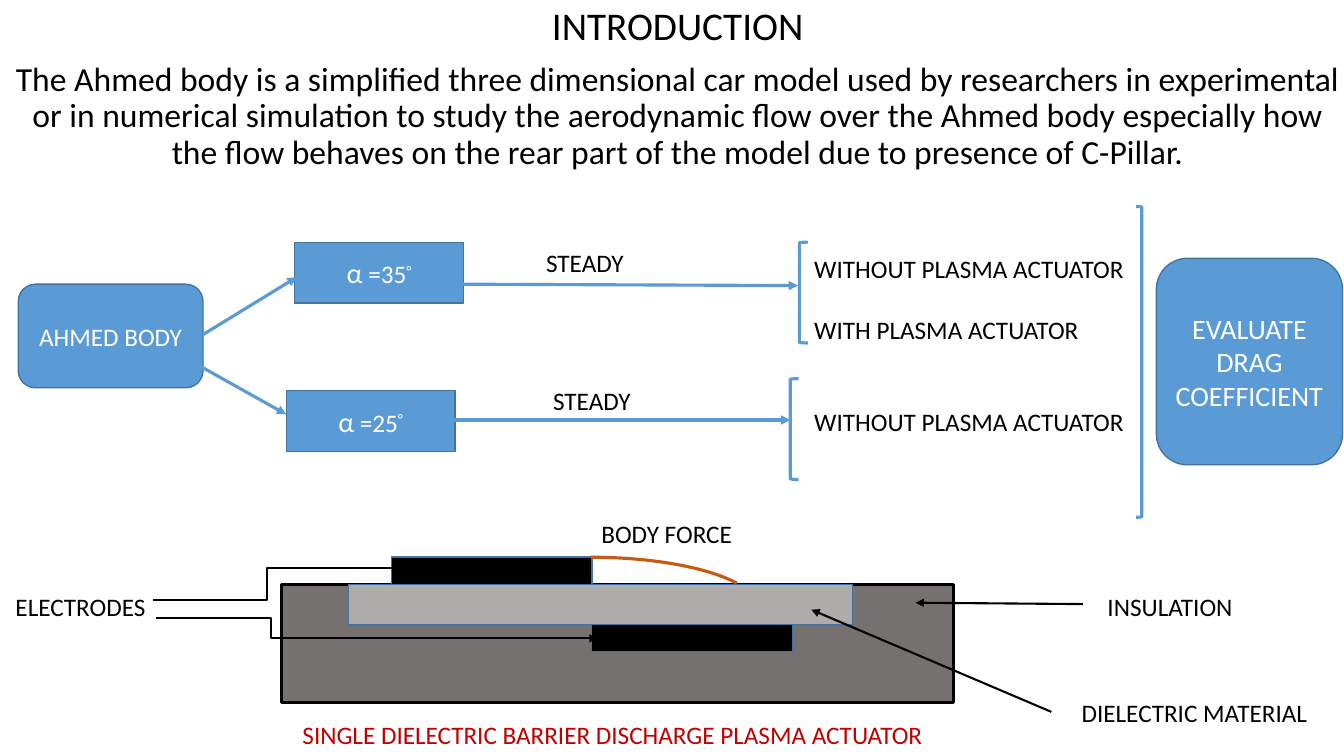
from dataclasses import dataclass

from lxml import etree
from pptx import Presentation
from pptx import util as u
from pptx.dml.color import RGBColor
from pptx.enum import shapes, text
from pptx.oxml.ns import qn

SHAPE = shapes.MSO_SHAPE
LINE = shapes.MSO_CONNECTOR
CENTER = text.PP_ALIGN.CENTER


@dataclass(frozen=True)
class Theme:
    font: str = "Calibri"
    black: str = "000000"
    white: str = "FFFFFF"
    blue: str = "5B9BD5"
    edge: str = "43739E"
    dark_gray: str = "767171"
    light_gray: str = "AFABAB"
    orange: str = "C55A11"
    red: str = "C00000"
    title: int = 28
    intro: int = 24
    large: int = 20
    body: int = 18


class Diagram:
    def __init__(self, s, theme):
        self.s, self.t = s, theme

    def run(self, p, words, size, color, raised=False):
        r = p.add_run()
        r.text = words
        r.font.name, r.font.size = self.t.font, u.Pt(size)
        r.font.color.rgb = RGBColor.from_string(color)
        if raised:
            r.font._element.set("baseline", "30000")

    def label(self, x, y, w, h, paragraphs, color=None, align=None, spacing=None, wrap=True):
        """Each paragraph is (words, size, space before)."""
        tf = self.s.shapes.add_textbox(*map(u.Pt, (x, y, w, h))).text_frame
        tf.word_wrap = wrap
        for i, (words, size, before) in enumerate(paragraphs):
            p = tf.add_paragraph() if i else tf.paragraphs[0]
            p.alignment, p.line_spacing = align, spacing
            if before:
                p.space_before = u.Pt(before)
            self.run(p, words, size, color or self.t.black)

    def shape(self, kind, x, y, w, h, fill=None, line=None, weight=1, runs=(), adjust=()):
        """Each run is (words, size, raised)."""
        sp = self.s.shapes.add_shape(kind, *map(u.Pt, (x, y, w, h)))
        sp.shadow.inherit = False
        for i, value in enumerate(adjust):
            sp.adjustments[i] = value
        if fill:
            sp.fill.solid()
            sp.fill.fore_color.rgb = RGBColor.from_string(fill)
        else:
            sp.fill.background()
        sp.line.color.rgb = RGBColor.from_string(line or self.t.edge)
        sp.line.width = u.Pt(weight)
        if runs:
            tf = sp.text_frame
            tf.word_wrap = True
            tf.vertical_anchor = text.MSO_ANCHOR.MIDDLE
            p = tf.paragraphs[0]
            p.alignment = CENTER
            for words, size, raised in runs:
                self.run(p, words, size, self.t.white, raised)

    def arrow(self, x1, y1, x2, y2, color, weight, bend=None):
        kind = LINE.STRAIGHT if bend is None else LINE.ELBOW
        c = self.s.shapes.add_connector(kind, *map(u.Pt, (x1, y1, x2, y2)))
        c.line.color.rgb = RGBColor.from_string(color)
        c.line.width = u.Pt(weight)
        etree.SubElement(c.line._get_or_add_ln(), qn("a:tailEnd"), type="triangle")
        sp_pr = c._element.spPr
        etree.SubElement(sp_pr, qn("a:effectLst"))
        if bend is not None:
            guides = sp_pr.find(qn("a:prstGeom")).get_or_add_avLst()
            etree.SubElement(guides, qn("a:gd"), name="adj1", fmla=f"val {round(bend * 100000)}")


def main():
    prs = Presentation()
    prs.slide_width, prs.slide_height = u.Pt(960), u.Pt(540)
    t = Theme()
    d = Diagram(prs.slides.add_slide(prs.slide_layouts[6]), t)

    # Title and introduction
    d.label(4, 1, 960, 130, [
        ("INTRODUCTION", t.title, 0),
        ("The Ahmed body is a simplified three dimensional car model used by researchers in "
         "experimental or in numerical simulation to study the aerodynamic flow over the Ahmed "
         "body especially how the flow behaves on the rear part of the model due to presence of "
         "C-Pillar.", t.intro, 10),
    ], align=CENTER, spacing=0.9)

    # Flow chart boxes
    d.shape(SHAPE.ROUNDED_RECTANGLE, 13, 203, 132, 74, t.blue,
            runs=[("AHMED BODY", t.body, False)])
    for x, y, angle in ((210.5, 173, 35), (204.5, 279, 25)):
        d.shape(SHAPE.RECTANGLE, x, y, 120.5, 43.5, t.blue,
                runs=[("α", t.large, False), (f" ={angle}", t.body, False), ("°", t.body, True)])
    d.shape(SHAPE.ROUNDED_RECTANGLE, 826, 184.5, 133, 147.5, t.blue,
            runs=[("EVALUATE DRAG COEFFICIENT", t.large, False)])

    # Flow chart arrows and brackets
    for ends in ((145, 239, 212, 198), (137.5, 258.5, 204.5, 296),
                 (330.5, 203, 570, 204), (324.5, 300, 564.5, 300)):
        d.arrow(*ends, t.blue, 2.25)
    for kind, *box in ((SHAPE.LEFT_BRACKET, 571, 173, 6, 72),
                       (SHAPE.LEFT_BRACKET, 564.5, 270.5, 6, 72),
                       (SHAPE.RIGHT_BRACKET, 811.5, 147.5, 4, 222)):
        d.shape(kind, *box, line=t.blue, weight=2.25)

    # Flow chart labels
    for x, y in ((383, 173), (388, 271.5)):
        d.label(x, y, 77, 29, [("STEADY", t.body, 0)], wrap=False)
    d.label(574.5, 177.5, 237.5, 139, [
        ("WITHOUT PLASMA ACTUATOR", t.body, 0),
        ("WITH PLASMA ACTUATOR", t.body, 22),
        ("WITHOUT PLASMA ACTUATOR", t.body, 44),
    ], wrap=False)

    # Actuator layers, electrodes and body force
    d.shape(SHAPE.RECTANGLE, 201, 417.5, 480, 84.5, t.dark_gray, t.black, 2.25)
    d.shape(SHAPE.RECTANGLE, 249, 417.5, 360, 29, t.light_gray)
    for x, y in ((422.5, 446), (279.5, 398)):
        d.shape(SHAPE.RECTANGLE, x, y, 143.5, 19.5, t.black)
    d.shape(SHAPE.ARC, 301.5, 398, 241, 74, line=t.orange, weight=2.25, adjust=(162, 209.98))

    # Actuator pointers
    for *ends, bend in ((751, 508.5, 579.5, 435.5, None), (773.5, 431.5, 654, 430.5, None),
                        (109.5, 428.5, 286.5, 406, 0.46), (111.5, 441.5, 427, 456, 0.26)):
        d.arrow(*ends, t.black, 1.5, bend)

    # Actuator labels and caption
    for words, x, y, w, color in (
            ("ELECTRODES", 4, 419, 108, t.black),
            ("DIELECTRIC MATERIAL", 765.5, 494.5, 177, t.black),
            ("INSULATION", 784, 419, 105, t.black),
            ("BODY FORCE", 422.5, 367, 108, t.black),
            ("SINGLE DIELECTRIC BARRIER DISCHARGE PLASMA ACTUATOR", 209, 510, 471, t.red)):
        d.label(x, y, w, 29, [(words, t.body, 0)], color)

    prs.save("out.pptx")


if __name__ == "__main__":
    main()
